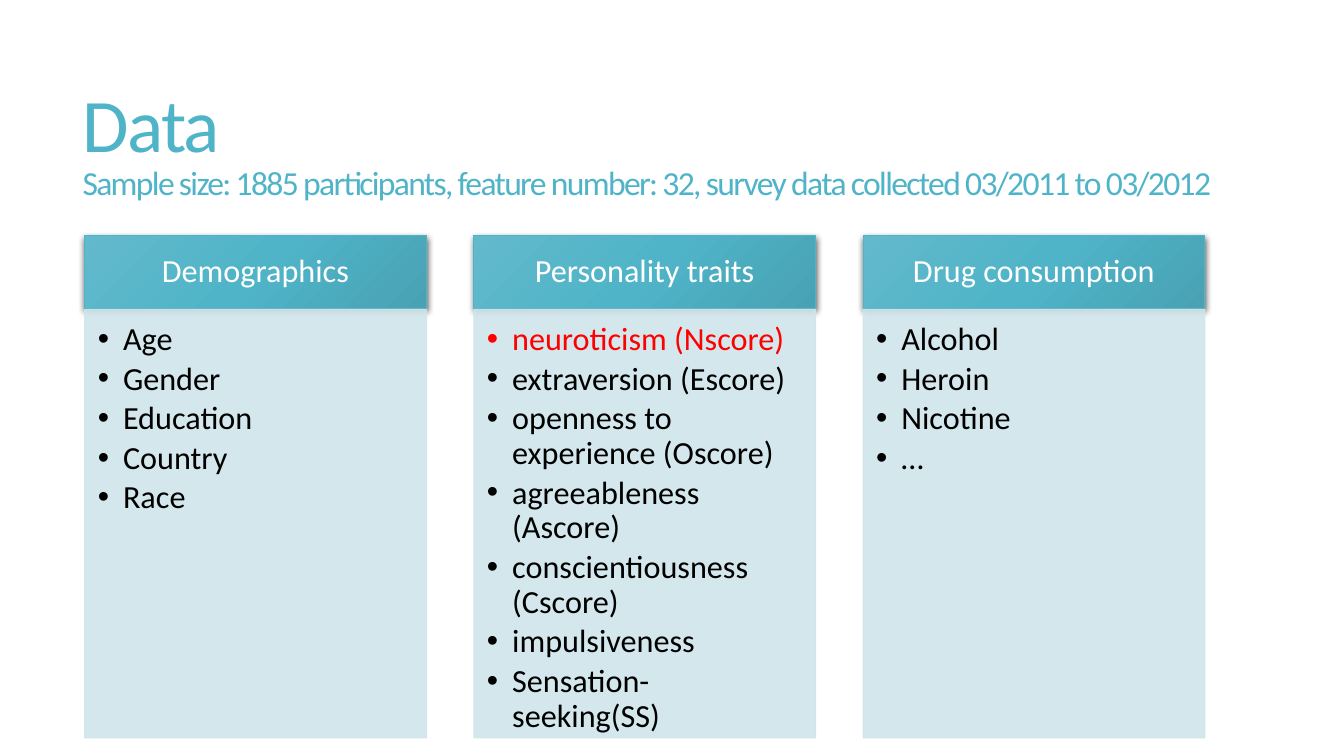
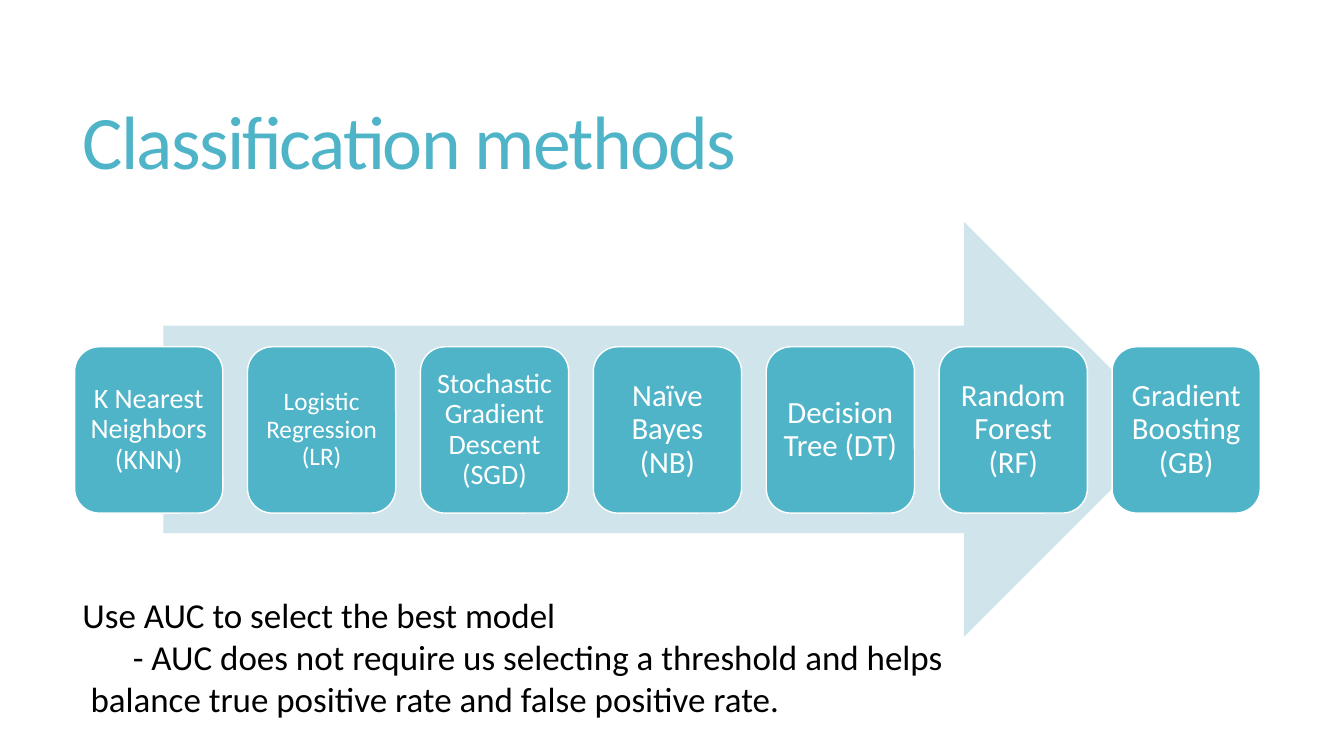
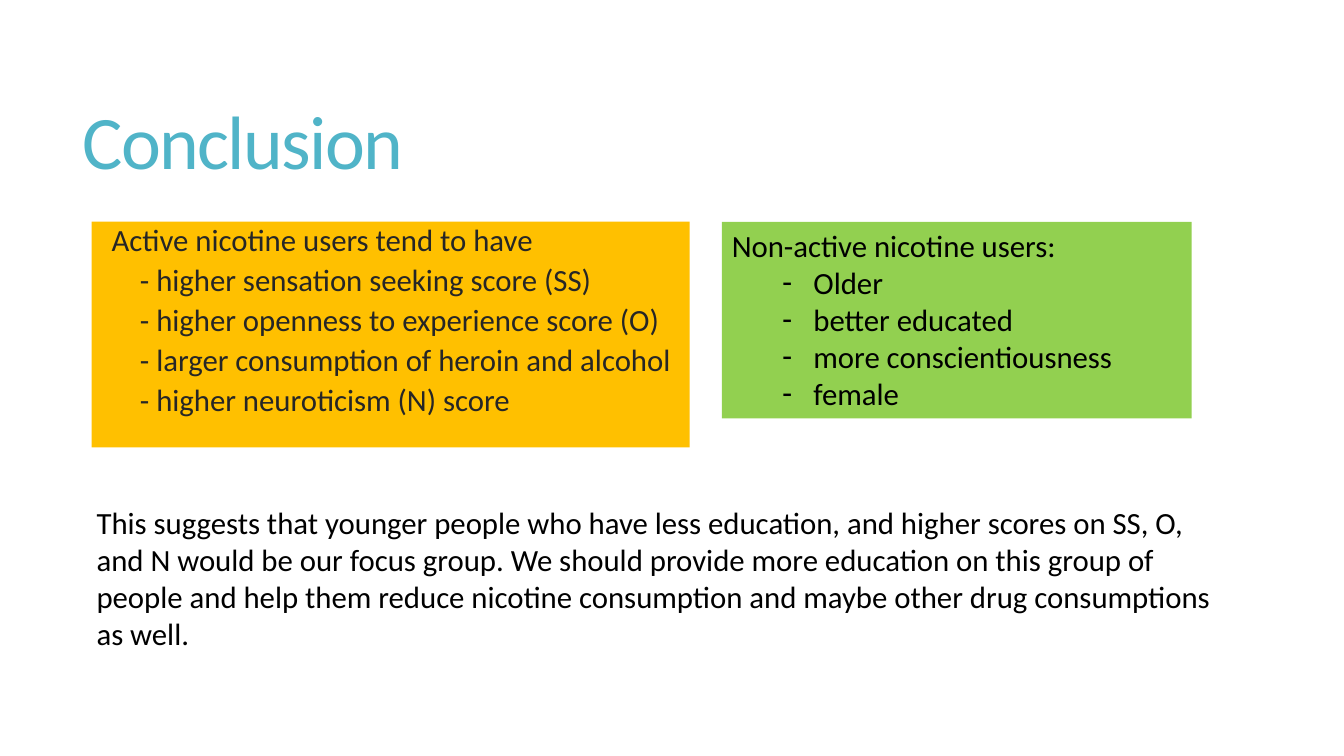
from copy import deepcopy

from lxml.etree import SubElement
from pptx import Presentation
from pptx.dml.color import RGBColor
from pptx.enum.shapes import MSO_SHAPE as SHAPE
from pptx.enum.text import MSO_ANCHOR as ANCHOR, PP_ALIGN as ALIGN
from pptx.oxml.ns import qn
from pptx.util import Inches, Pt

TEAL = RGBColor(0x50, 0xB4, 0xC8)
TEAL_LIGHT = RGBColor(0x61, 0xB9, 0xCB)
TEAL_DARK = RGBColor(0x48, 0xA2, 0xB4)
PALE = RGBColor(0xD0, 0xE5, 0xEB)
ORANGE = RGBColor(0xFF, 0xC0, 0x00)
GREEN = RGBColor(0x92, 0xD0, 0x50)
RED = RGBColor(0xFF, 0x00, 0x00)
WHITE = RGBColor(0xFF, 0xFF, 0xFF)
BLACK = RGBColor(0x00, 0x00, 0x00)
CHARCOAL = RGBColor(0x26, 0x26, 0x26)

TOP = {"vertical_anchor": ANCHOR.TOP}
MIDDLE = {"vertical_anchor": ANCHOR.MIDDLE}
LEFT = {"alignment": ALIGN.LEFT}
CENTER = {"alignment": ALIGN.CENTER, "line_spacing": 0.9}


def add_box(s, kind, at, fill, line=None, width=1):
    sp = s.shapes.add_shape(kind, *map(Inches, at))
    sp.shadow.inherit = False
    sp.fill.solid()
    sp.fill.fore_color.rgb = fill
    if line is None:
        sp.line.fill.background()
    else:
        sp.line.color.rgb = line
        sp.line.width = Pt(width)
    return sp


def write(sp, texts, size, color, frame=TOP, para=LEFT, margin=0, indent=0, bullet=None):
    tf = sp.text_frame
    tf.word_wrap = True
    for name, value in frame.items():
        setattr(tf, name, value)
    for text in texts:
        p = tf.add_paragraph() if tf.text else tf.paragraphs[0]
        p.text = text
        pPr = p._p.get_or_add_pPr()
        pPr.set("marL", str(Inches(margin)))
        pPr.set("indent", str(Inches(indent)))
        if bullet:
            SubElement(pPr, qn("a:buFont"), typeface="Arial")
            SubElement(pPr, qn("a:buChar"), char=bullet)
        for name, value in para.items():
            setattr(p, name, value)
        for r in p.runs:
            r.font.name = "Calibri"
            r.font.size = Pt(size)
            r.font.color.rgb = color
    return tf


prs = Presentation()
prs.slide_width, prs.slide_height = Inches(13.33), Inches(7.5)

titles = [
    "Data\vSample size: 1885 participants, feature number: 32, survey data collected 03/2011 to 03/2012",
    "Classification methods",
    "Conclusion",
]
slides = []
for title in titles:
    s = prs.slides.add_slide(prs.slide_layouts[6])
    sp = s.shapes.add_textbox(*map(Inches, (0.72, 0.55, 11.78, 1.81)))
    p = write(sp, [title], 54, TEAL, MIDDLE, {"line_spacing": 0.85}).paragraphs[0]
    for r in p.runs:
        r._r.get_or_add_rPr().set("spc", "-120")
    for r in p.runs[1:]:
        r.font.size = Pt(24)
    slides.append(s)
data, methods, conclusion = slides

columns = [
    ("Demographics", ["Age", "Gender", "Education", "Country", "Race"]),
    ("Personality traits", [
        "neuroticism (Nscore)", "extraversion (Escore)", "openness to experience (Oscore)",
        "agreeableness (Ascore)", "conscientiousness (Cscore)", "impulsiveness",
        "Sensation-seeking(SS)"]),
    ("Drug consumption", ["Alcohol", "Heroin", "Nicotine", "…"]),
]
list_frame = {
    "vertical_anchor": ANCHOR.TOP,
    "margin_left": Inches(0.13), "margin_top": Inches(0.13),
    "margin_right": Inches(0.18), "margin_bottom": Inches(0.2),
}
list_para = {"alignment": ALIGN.LEFT, "line_spacing": 0.9, "space_after": Pt(3.5)}
for i, (heading, items) in enumerate(columns):
    x = 0.84 + 3.86 * i
    sp = add_box(data, SHAPE.RECTANGLE, (x, 2.34, 3.39, 0.72), TEAL, TEAL, 0.75)
    sp.fill.gradient()
    sp.fill.gradient_angle = 315
    gs_list = sp._element.spPr.find(".//" + qn("a:gsLst"))
    gs_list.append(deepcopy(gs_list[0]))
    stops = zip(sp.fill.gradient_stops, (0, 0.5, 1), (TEAL_LIGHT, TEAL, TEAL_DARK))
    for stop, position, color in stops:
        stop.position = position
        stop.color.rgb = color
    effects = sp._element.spPr.find(qn("a:effectLst"))
    shadow = SubElement(effects, qn("a:outerShdw"), blurRad=str(Pt(4.5)), dist=str(Pt(1.5)),
                        dir="5400000", algn="ctr", rotWithShape="0")
    SubElement(SubElement(shadow, qn("a:srgbClr"), val="000000"), qn("a:alpha"), val="63000")
    write(sp, [heading], 23, WHITE, MIDDLE, CENTER)

    sp = add_box(data, SHAPE.RECTANGLE, (x, 3.07, 3.39, 4.25), PALE, PALE, 0.75)
    for clr in sp._element.spPr.findall(".//" + qn("a:srgbClr")):
        SubElement(clr, qn("a:alpha"), val="90000")
    tf = write(sp, items, 23, BLACK, list_frame, list_para, 0.25, -0.25, "•")
    if heading == "Personality traits":
        tf.paragraphs[0].runs[0].font.color.rgb = RED

add_box(methods, SHAPE.RIGHT_ARROW, (1.62, 2.2, 10, 4.12), PALE)
classifiers = [
    ("K Nearest Neighbors (KNN)", 20),
    ("Logistic Regression (LR)", 18),
    ("Stochastic Gradient Descent (SGD)", 20),
    ("Naïve Bayes (NB)", 22),
    ("Decision Tree (DT)", 22),
    ("Random Forest (RF)", 22),
    ("Gradient Boosting (GB)", 22),
]
card_frame = dict(MIDDLE)
for side in ("left", "top", "right", "bottom"):
    card_frame["margin_" + side] = Inches(0.08)
for i, (name, size) in enumerate(classifiers):
    at = (0.74 + 1.715 * i, 3.44, 1.47, 1.65)
    sp = add_box(methods, SHAPE.ROUNDED_RECTANGLE, at, TEAL, WHITE)
    write(sp, [name], size, WHITE, card_frame, CENTER)

sp = methods.shapes.add_textbox(*map(Inches, (0.72, 5.84, 9.17, 1.36)))
write(sp, ["Use AUC to select the best model"], 25, BLACK)
write(sp, ["- AUC does not require us selecting a threshold and helps balance true positive rate "
           "and false positive rate."], 25, BLACK, margin=0.08, indent=0.42)

sp = add_box(conclusion, SHAPE.RECTANGLE, (0.91, 2.2, 5.93, 2.24), ORANGE)
tight = {"alignment": ALIGN.LEFT, "line_spacing": 0.85}
write(sp, ["Active nicotine users tend to have"], 22, CHARCOAL, para=tight, margin=0.1)
write(sp, [
    "- higher sensation seeking score (SS)",
    "- higher openness to experience score (O)",
    "- larger consumption of heroin and alcohol",
    "- higher neuroticism (N) score",
], 22, CHARCOAL, para={**tight, "space_before": Pt(6)}, margin=0.38)

sp = add_box(conclusion, SHAPE.RECTANGLE, (7.16, 2.2, 4.66, 1.95), GREEN)
write(sp, ["Non-active nicotine users:"], 22, BLACK)
write(sp, ["Older", "better educated", "more conscientiousness", "female"], 22, BLACK,
      margin=0.81, indent=-0.31, bullet="-")

sp = conclusion.shapes.add_textbox(*map(Inches, (0.86, 4.95, 11.34, 1.58)))
write(sp, ["This suggests that younger people who have less education, and higher scores on SS, O, "
           "and N would be our focus group. We should provide more education on this group of "
           "people and help them reduce nicotine consumption and maybe other drug consumptions "
           "as well."], 22, BLACK)

prs.save("out.pptx")
